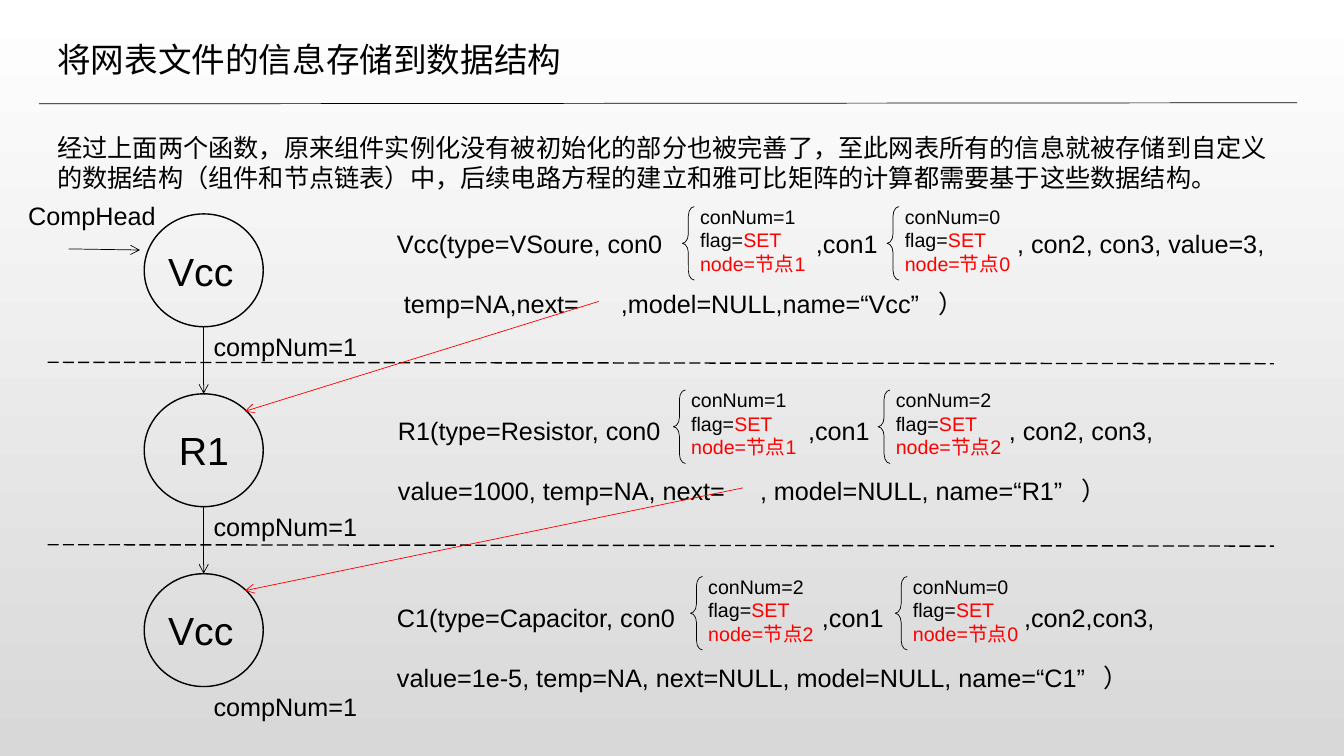
"""Build the slide on storing netlist information in linked data structures."""
from pptx import Presentation
from pptx.dml.color import RGBColor
from pptx.enum.dml import MSO_LINE
from pptx.enum.shapes import MSO_CONNECTOR, MSO_SHAPE
from pptx.oxml.ns import qn
from pptx.util import Pt
from lxml.etree import SubElement

BLACK = RGBColor(0, 0, 0)
RED = RGBColor(255, 0, 0)
WHITE = RGBColor(255, 255, 255)
GREY = RGBColor(216, 216, 216)
FONT = "Arial"

TITLE = "将网表文件的信息存储到数据结构"
INTRO = ("经过上面两个函数，原来组件实例化没有被初始化的部分也被完善了，"
         "至此网表所有的信息就被存储到自定义的数据结构（组件和节点链表）中，"
         "后续电路方程的建立和雅可比矩阵的计算都需要基于这些数据结构。")
COMPONENTS = [
    {"node": "Vcc", "left": 276.5, "brace": (487.4, 147.6),
     "lines": [("Vcc(type=VSoure, con0\t,con1\t, con2, con3, value=3,", (299.3, 443)),
               (" temp=NA,next=\t,model=NULL,name=“Vcc”\t）", (160, 387))],
     "cons": [(1, 1), (0, 0)]},
    {"node": " R1", "left": 277.2, "brace": (481, 278.6),
     "lines": [("R1(type=Resistor, con0\t,con1\t, con2, con3,", (293, 436.4)),
               ("value=1000, temp=NA, next=\t, model=NULL, name=“R1”\t）", (258.6, 488))],
     "cons": [(1, 1), (2, 2)]},
    {"node": "Vcc", "left": 276.5, "brace": (493.2, 411.8),
     "lines": [("C1(type=Capacitor, con0\t,con1\t,con2,con3,", (303.6, 448)),
               ("value=1e-5, temp=NA, next=NULL, model=NULL, name=“C1”\t）", (505,))],
     "cons": [(2, 2), (0, 0)]},
]
NEXT_LINKS = [((427.7, 215.3), (175, 293.8)), ((530.6, 348.5), (175, 421.9))]

NODE_X, NODE_Y, NODE_W, NODE_H, NODE_PITCH = 103, 152.8, 85, 80.6, 128.5
TEXT_Y, TEXT_PITCH = 159.8, 133.6
DIVIDER_Y, DIVIDER_PITCH = 258.8, 130.3
BRACE_PITCH, BRACE_W, BRACE_H = 146.2, 8.6, 52.5


def add_text(x, y, w, h, lines, size):
    """Place paragraphs, each a list of (text, colour) runs."""
    tf = s.shapes.add_textbox(Pt(x), Pt(y), Pt(w), Pt(h)).text_frame
    tf.word_wrap = True
    for i, runs in enumerate(lines):
        p = tf.paragraphs[0] if i == 0 else tf.add_paragraph()
        for text, color in runs:
            r = p.add_run()
            r.text = text
            r.font.name, r.font.size = FONT, Pt(size)
            r.font.color.rgb = color
    return tf


def add_line(start, end, color=BLACK, width=0.5, arrow=False):
    """Draw a straight line, optionally with an open arrowhead."""
    c = s.shapes.add_connector(MSO_CONNECTOR.STRAIGHT, *map(Pt, start + end))
    c.line.color.rgb, c.line.width = color, Pt(width)
    if arrow:
        SubElement(c.line._get_or_add_ln(), qn("a:tailEnd"), type="arrow")
    SubElement(c._element.spPr, qn("a:effectLst"))
    return c


def add_outline(kind, x, y, w, h, width):
    """Draw an unfilled preset shape."""
    sp = s.shapes.add_shape(kind, Pt(x), Pt(y), Pt(w), Pt(h))
    sp.shadow.inherit = False
    sp.fill.background()
    sp.line.color.rgb, sp.line.width = BLACK, Pt(width)
    return sp


def add_node(i, name):
    """Draw a list node, its number and the arrow to the next node."""
    y = NODE_Y + i * NODE_PITCH
    bottom, middle = y + NODE_H, NODE_X + NODE_W / 2
    add_outline(MSO_SHAPE.OVAL, NODE_X, y, NODE_W, NODE_H, 1)
    add_text(113, y + 20, 85, 41, [[(name, BLACK)]], 28)
    add_text(middle, bottom, 144, 29, [[("compNum=1", BLACK)]], 18)
    if i < len(COMPONENTS) - 1:
        add_line((middle, bottom), (middle, y + NODE_PITCH), arrow=True)
        divider = DIVIDER_Y + i * DIVIDER_PITCH
        dash = add_line((34, divider), (910, divider + 1), width=1)
        dash.line.dash_style = MSO_LINE.LONG_DASH


def add_fields(i, comp):
    """Write a component's fields and its two bracketed connections."""
    tf = add_text(comp["left"], TEXT_Y + i * TEXT_PITCH, 643.7, 80,
                  [[(text, BLACK)] for text, _ in comp["lines"]], 18)
    tf.paragraphs[1].space_before = Pt(20.7)
    for p, (_, stops) in zip(tf.paragraphs, comp["lines"]):
        tabs = SubElement(p._p.get_or_add_pPr(), qn("a:tabLst"))
        for stop in stops:
            SubElement(tabs, qn("a:tab"), pos=str(Pt(stop)), algn="l")
    left, y = comp["brace"]
    for j, (con, node) in enumerate(comp["cons"]):
        x = left + j * BRACE_PITCH
        brace = add_outline(MSO_SHAPE.LEFT_BRACE, x, y, BRACE_W, BRACE_H, 0.5)
        brace.adjustments[0], brace.adjustments[1] = 0.78, 0.5
        add_text(x + 5.6, y - 5, 141.8, 62,
                 [[(f"conNum={con}", BLACK)],
                  [("flag=", BLACK), ("SET", RED)],
                  [(f"node=节点{node}", RED)]], 14)


prs = Presentation()
prs.slide_width, prs.slide_height = Pt(960), Pt(540)
s = prs.slides.add_slide(prs.slide_layouts[6])
bg = s.background.fill
bg.gradient()
bg.gradient_angle = 270
for stop, color in zip(bg.gradient_stops, (WHITE, GREY)):
    stop.color.rgb = color

add_line((28, 74.2), (926.6, 73.4))
add_text(33.8, 24.5, 502, 50, [[(TITLE, BLACK)]], 24)
add_text(33.8, 90.7, 893, 63, [[(INTRO, BLACK)]], 18)
add_text(13, 139.7, 123, 29, [[("CompHead", BLACK)]], 18)
add_line((49, 177.8), (100, 178.6), arrow=True)
for i, comp in enumerate(COMPONENTS):
    add_node(i, comp["node"])
    add_fields(i, comp)
for start, end in NEXT_LINKS:
    add_line(start, end, RED, arrow=True)

prs.save("out.pptx")
